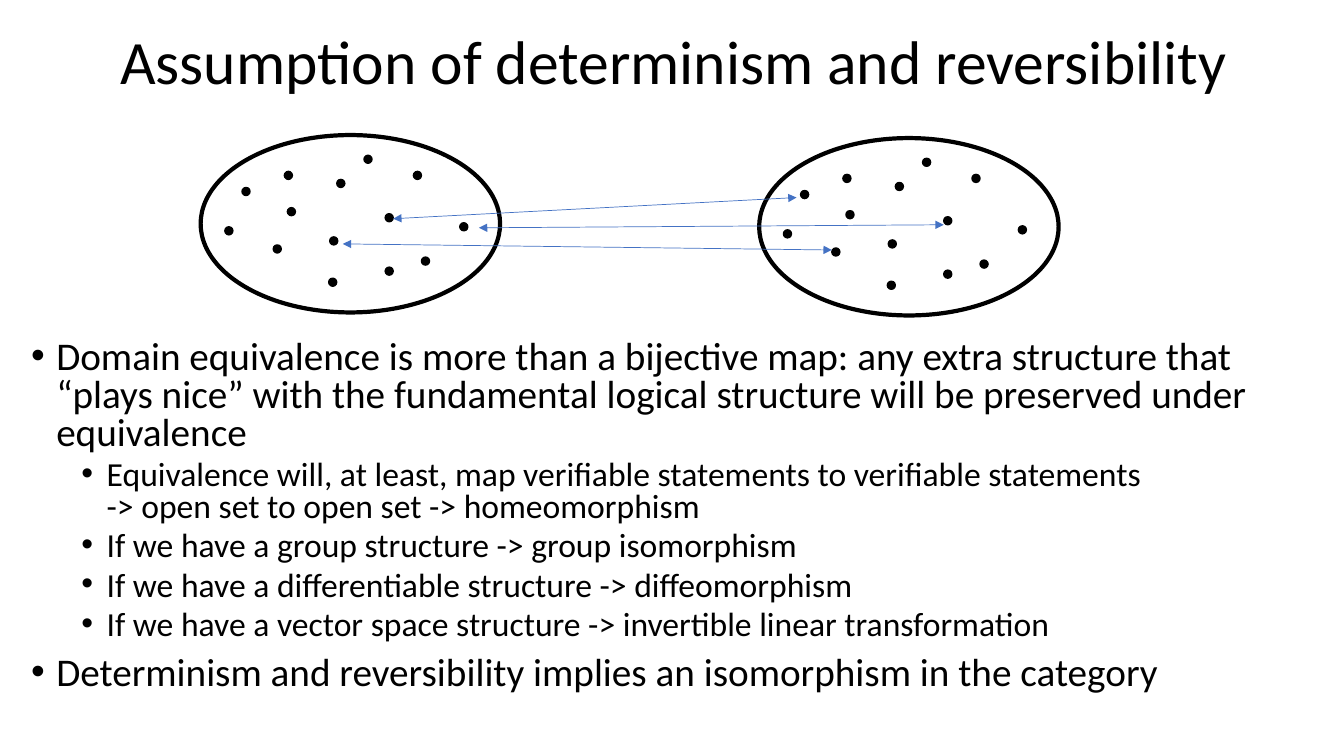
from lxml import etree
from pptx import Presentation
from pptx import util as u
from pptx.dml.color import RGBColor
from pptx.enum import shapes, text
from pptx.oxml import ns

# Content
TITLE = "Assumption of determinism and reversibility"
BULLETS = [  # level, wording
    (0, "Domain equivalence is more than a bijective map: any extra structure that “plays nice” "
        "with the fundamental logical structure will be preserved under equivalence"),
    (1, "Equivalence will, at least, map verifiable statements to verifiable statements\v"
        "-> open set to open set -> homeomorphism"),
    (1, "If we have a group structure -> group isomorphism"),
    (1, "If we have a differentiable structure -> diffeomorphism"),
    (1, "If we have a vector space structure -> invertible linear transformation"),
    (0, "Determinism and reversibility implies an isomorphism in the category"),
]

# Geometry in px, 100 px to the inch
PX = u.Inches(1) // 100
SLIDE = (1333, 750)
TITLE_BOX = (21, 15, 1295, 98)
BODY_BOX = (21, 333, 1295, 393)
DOMAIN_ORIGINS = [(199, 134), (753, 137)]
DOMAIN_SIZE = (297, 176)
DOT = 8
DOTS = [  # offsets from the corner of the domain
    (135, 44), (24, 91), (183, 78), (183, 131), (128, 101), (72, 109), (86, 72),
    (211, 36), (127, 142), (83, 36), (162, 20), (219, 121), (257, 87), (41, 52),
]
MAPPINGS = [(390, 217, 790, 196), (340, 242, 825, 248), (936, 223, 475, 226)]

THEME = {
    "font": "Calibri", "ink": RGBColor(0, 0, 0), "paper": RGBColor(255, 255, 255),
    "arrow": RGBColor(0x44, 0x72, 0xC4), "title_size": 44,
    "outline": 3, "dot_line": 1, "arrow_line": 0.5,
}
LEVELS = [
    {"size": 28, "margin": 25, "before": 10},
    {"size": 24, "margin": 75, "before": 5},
]
HANGING = 25


def px(values):
    return [value * PX for value in values]


def set_all(target, values):
    for name, value in values.items():
        setattr(target, name, value)


def style_font(paragraph, size):
    set_all(paragraph.font, {"name": THEME["font"], "size": u.Pt(size)})
    paragraph.font.color.rgb = THEME["ink"]


def add_text_box(slide, box, anchor):
    frame = slide.shapes.add_textbox(*px(box)).text_frame
    set_all(frame, {"word_wrap": True, "vertical_anchor": anchor})
    return frame


def add_ellipse(group, box, fill, line_width):
    shape = group.shapes.add_shape(shapes.MSO_SHAPE.OVAL, *px(box))
    shape.shadow.inherit = False
    shape.fill.solid()
    shape.fill.fore_color.rgb = fill
    shape.line.color.rgb = THEME["ink"]
    shape.line.width = u.Pt(line_width)


def add_domain(slide, left, top):
    group = slide.shapes.add_group_shape()
    add_ellipse(group, (left, top, *DOMAIN_SIZE), THEME["paper"], THEME["outline"])
    for x, y in DOTS:
        add_ellipse(group, (left + x, top + y, DOT, DOT), THEME["ink"], THEME["dot_line"])


def add_mapping(slide, ends):
    connector = slide.shapes.add_connector(shapes.MSO_CONNECTOR.STRAIGHT, *px(ends))
    connector.line.color.rgb = THEME["arrow"]
    connector.line.width = u.Pt(THEME["arrow_line"])
    properties = connector.element.spPr
    line = properties.find(ns.qn("a:ln"))
    for tag in ("a:headEnd", "a:tailEnd"):
        etree.SubElement(line, ns.qn(tag), type="triangle")
    etree.SubElement(properties, ns.qn("a:effectLst"))


def add_bullet(paragraph, margin):
    properties = paragraph._p.get_or_add_pPr()
    properties.set("marL", str(margin * PX))
    properties.set("indent", str(-HANGING * PX))
    etree.SubElement(properties, ns.qn("a:buFont"), typeface="Arial")
    etree.SubElement(properties, ns.qn("a:buChar"), char="•")


def main():
    presentation = Presentation()
    width, height = px(SLIDE)
    set_all(presentation, {"slide_width": width, "slide_height": height})
    slide = presentation.slides.add_slide(presentation.slide_layouts[6])

    # Title
    paragraph = add_text_box(slide, TITLE_BOX, text.MSO_ANCHOR.MIDDLE).paragraphs[0]
    set_all(paragraph, {"text": TITLE, "alignment": text.PP_ALIGN.CENTER, "line_spacing": 0.9})
    style_font(paragraph, THEME["title_size"])

    # Two domains and the mappings between them
    for left, top in DOMAIN_ORIGINS:
        add_domain(slide, left, top)
    for ends in MAPPINGS:
        add_mapping(slide, ends)

    # Bullets
    frame = add_text_box(slide, BODY_BOX, text.MSO_ANCHOR.TOP)
    for index, (level, wording) in enumerate(BULLETS):
        style = LEVELS[level]
        paragraph = frame.add_paragraph() if index else frame.paragraphs[0]
        add_bullet(paragraph, style["margin"])
        before = u.Pt(style["before"] if index else 0)
        set_all(paragraph, {"text": wording, "level": level, "line_spacing": 0.8,
                            "space_before": before})
        style_font(paragraph, style["size"])

    presentation.save("out.pptx")


if __name__ == "__main__":
    main()
